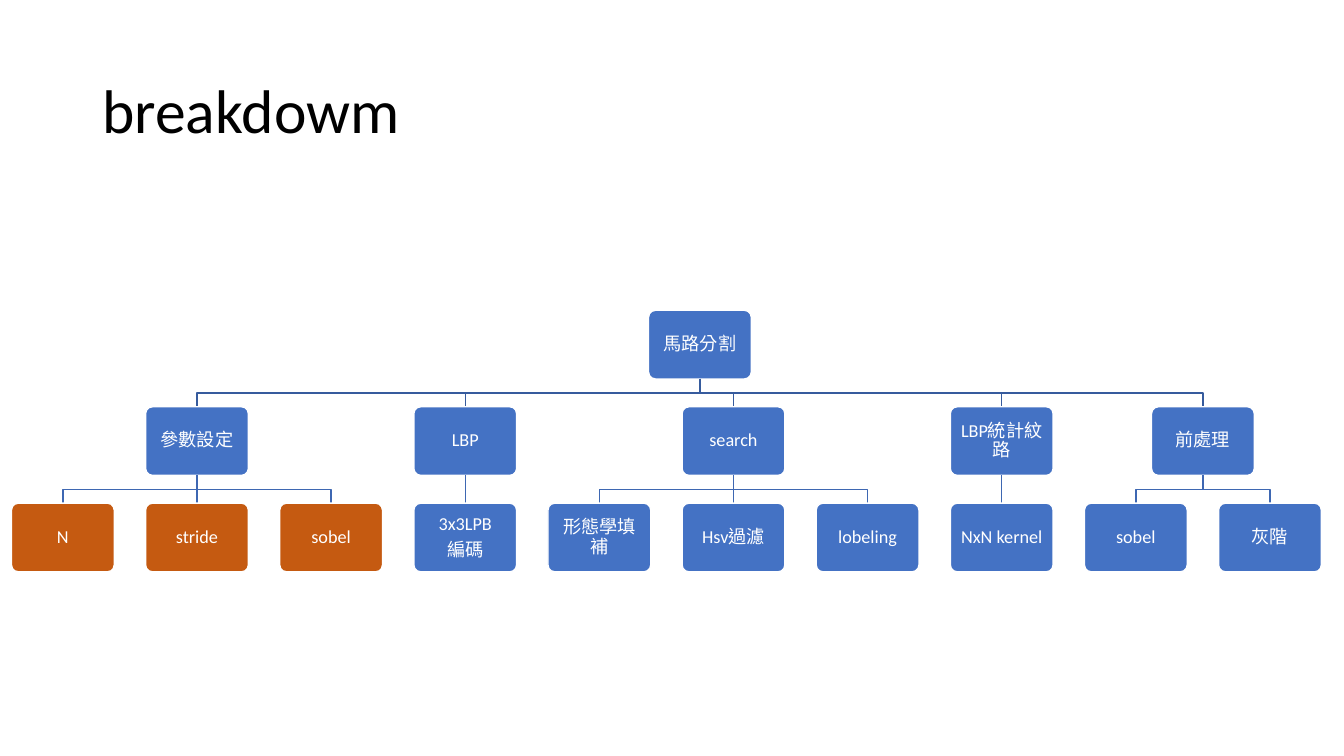
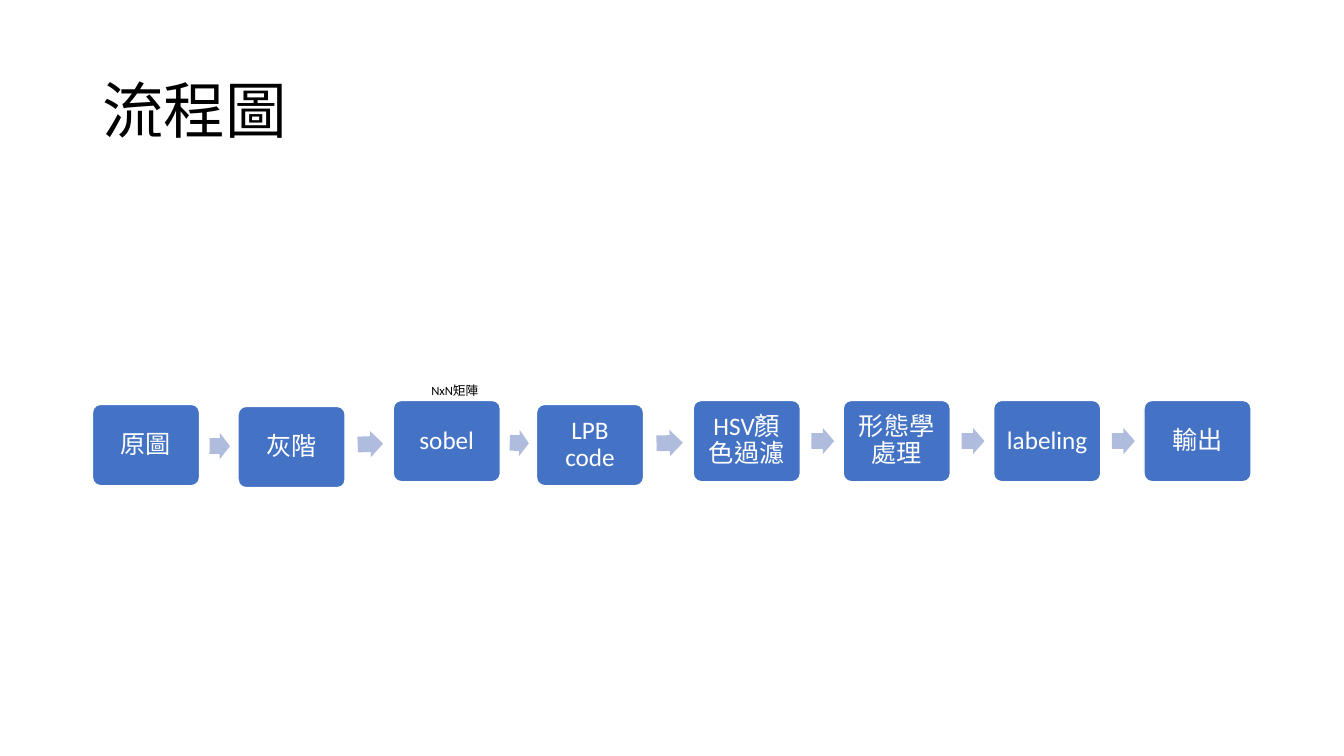
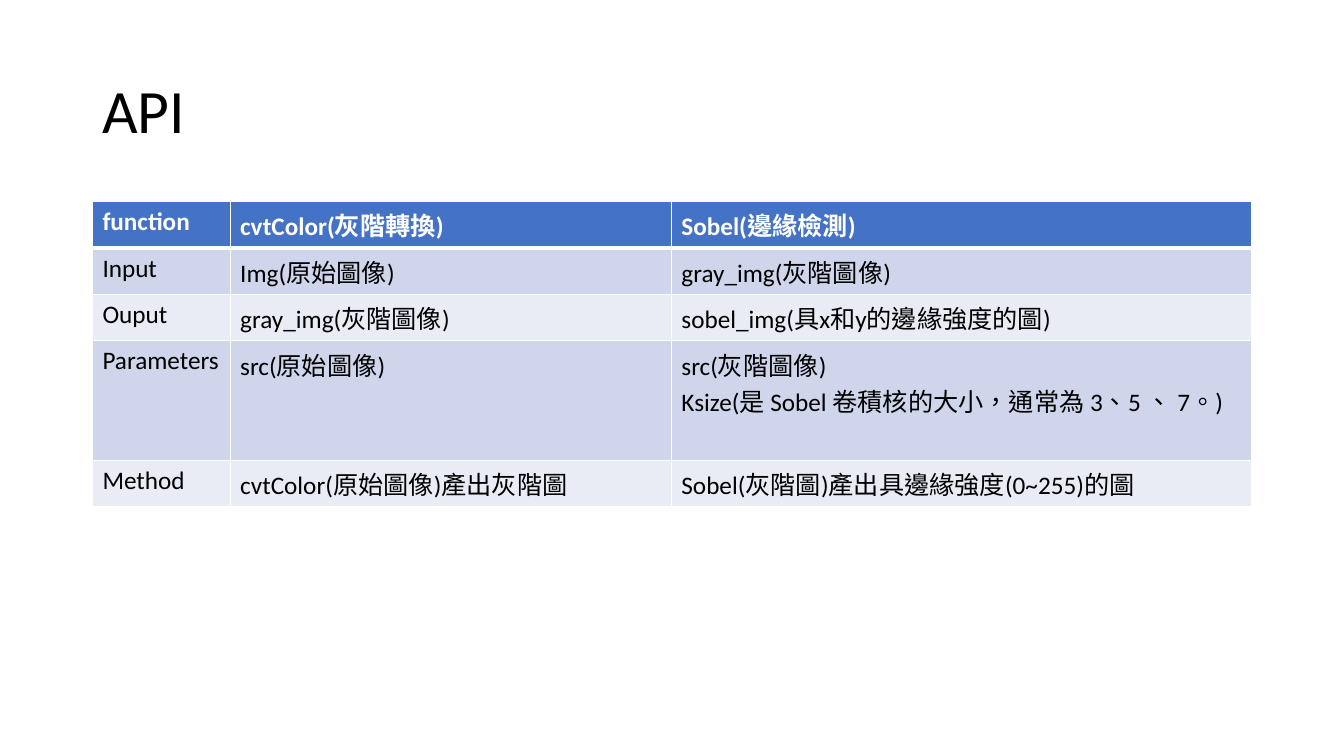
from math import atan2, degrees

from lxml import etree
from pptx import Presentation
from pptx.dml.color import RGBColor
from pptx.enum import lang, shapes, text
from pptx.oxml import ns
from pptx.util import Cm, Pt

FONT = "Calibri"
BLACK, WHITE = "000000", "FFFFFF"
BLUE, ORANGE, ARROW = "4472C4", "C55A11", "B0BCDE"
ROOT_LINE, LEAF_LINE = "365B9D", "3E67B2"
BANDS = "CFD5EA", "E9EBF5"

TREE_ROOT = "馬路分割"
TREE_BRANCHES = [
    ("參數設定", ["N", "stride", "sobel"], ORANGE),
    ("LBP", ["3x3LPB\n編碼"], BLUE),
    ("search", ["形態學填補", "Hsv過濾", "lobeling"], BLUE),
    ("LBP統計紋路", ["NxN kernel"], BLUE),
    ("前處理", ["sobel", "灰階"], BLUE),
]

# Step name, then its left and top within the flow chart
FLOW_STEPS = [
    ("原圖", 0, 0.1), ("灰階", 3.67, 0.15), ("sobel", 7.58, 0),
    ("LPB code", 11.19, 0.1), ("HSV顏色過濾", 15.14, 0),
    ("形態學處理", 18.92, 0), ("labeling", 22.71, 0), ("輸出", 26.5, 0),
]

# Row height, then the cells
API_ROWS = [
    (1.17, "function", "cvtColor(灰階轉換)", "Sobel(邊緣檢測)"),
    (1.17, "Input", "Img(原始圖像)", "gray_img(灰階圖像)"),
    (1.17, "Ouput", "gray_img(灰階圖像)", "sobel_img(具x和y的邊緣強度的圖)"),
    (3.01, "Parameters", "src(原始圖像)",
     "src(灰階圖像)\nKsize(是 Sobel 卷積核的大小，通常為 3、5 、 7。)"),
    (1.17, "Method", "cvtColor(原始圖像)產出灰階圖", "Sobel(灰階圖)產出具邊緣強度(0~255)的圖"),
]


def rgb(color):
    return RGBColor.from_string(color)


def write(frame, words, size, color, bold=False):
    frame.text = words
    for paragraph in frame.paragraphs:
        for run in paragraph.runs:
            run.font.name = FONT
            run.font.size = Pt(size)
            run.font.bold = bold
            run.font.color.rgb = rgb(color)
            run.font.language_id = lang.MSO_LANGUAGE_ID.TRADITIONAL_CHINESE


def add_label(slide, words, left, top, width, height, size):
    label = slide.shapes.add_textbox(Cm(left), Cm(top), Cm(width), Cm(height))
    label.text_frame.word_wrap = True
    write(label.text_frame, words, size, BLACK)
    return label.text_frame


def add_titled_slide(deck, title):
    slide = deck.slides.add_slide(deck.slide_layouts[6])
    frame = add_label(slide, title, 2.33, 1.02, 29.21, 3.68, 44)
    frame.vertical_anchor = text.MSO_ANCHOR.MIDDLE
    frame.paragraphs[0].line_spacing = 0.9
    return slide


def add_node(slide, words, left, top, width, height, size, margin, color=BLUE):
    """Rounded box with a white edge and centred white text."""
    node = slide.shapes.add_shape(shapes.MSO_SHAPE.ROUNDED_RECTANGLE,
                                  Cm(left), Cm(top), Cm(width), Cm(height))
    node.adjustments[0] = 0.1
    node.shadow.inherit = False
    node.fill.solid()
    node.fill.fore_color.rgb = rgb(color)
    node.line.color.rgb = rgb(WHITE)
    node.line.width = Pt(1)
    frame = node.text_frame
    frame.word_wrap = True
    frame.vertical_anchor = text.MSO_ANCHOR.MIDDLE
    frame.margin_left = frame.margin_right = Cm(margin)
    frame.margin_top = frame.margin_bottom = Cm(margin)
    write(frame, words, size, WHITE)
    for paragraph in frame.paragraphs:
        paragraph.alignment = text.PP_ALIGN.CENTER
        paragraph.line_spacing = 0.9
        paragraph.space_after = Pt(size * 0.35)


def add_branch(slide, x1, y1, x2, y2, color):
    """Line from a parent's foot down to a child's head, bent halfway."""
    if abs(x1 - x2) < 0.01:
        branch = slide.shapes.add_connector(shapes.MSO_CONNECTOR.STRAIGHT,
                                            Cm(x1), Cm(y1), Cm(x2), Cm(y2))
        etree.SubElement(branch._element.spPr, ns.qn("a:effectLst"))
    else:
        middle = Cm((y1 + y2) / 2)
        outline = slide.shapes.build_freeform(Cm(x1), Cm(y1))
        outline.add_line_segments(
            [(Cm(x1), middle), (Cm(x2), middle), (Cm(x2), Cm(y2))], close=False)
        branch = outline.convert_to_shape()
        branch.shadow.inherit = False
        branch.fill.background()
    branch.line.color.rgb = rgb(color)
    branch.line.width = Pt(1)


def add_tree(slide, left, top):
    """Three tiers, each parent centred above its children."""
    width, height, pitch, tier = 2.59, 1.73, 3.38, 2.43

    def place(words, center, level, color=BLUE):
        add_node(slide, words, center - width / 2, top + level * tier,
                 width, height, 13, 0.13, color)

    def link(parent, child, level, color):
        add_branch(slide, parent, top + level * tier + height,
                   child, top + (level + 1) * tier, color)

    centers = []
    column = 0
    for _, leaves, _ in TREE_BRANCHES:
        centers.append(left + width / 2 + (column + (len(leaves) - 1) / 2) * pitch)
        column += len(leaves)
    root = (centers[0] + centers[-1]) / 2
    place(TREE_ROOT, root, 0)
    for center, (name, leaves, color) in zip(centers, TREE_BRANCHES):
        link(root, center, 0, ROOT_LINE)
        place(name, center, 1)
        for index, leaf in enumerate(leaves):
            leaf_center = center + (index - (len(leaves) - 1) / 2) * pitch
            link(center, leaf_center, 1, LEAF_LINE)
            place(leaf, leaf_center, 2, color)


def add_flow(slide, left, top):
    """Row of steps, with an arrow in each gap turned towards the next step."""
    width, height, arrow_height = 2.7, 2.05, 0.66
    for name, x, y in FLOW_STEPS:
        add_node(slide, name, left + x, top + y, width, height, 18, 0.18)
    for (_, x1, y1), (_, x2, y2) in zip(FLOW_STEPS, FLOW_STEPS[1:]):
        gap = x2 - x1 - width
        arrow = slide.shapes.add_shape(
            shapes.MSO_SHAPE.RIGHT_ARROW, Cm(left + x1 + width + 0.26 * gap),
            Cm(top + (y1 + y2 + height - arrow_height) / 2),
            Cm(0.53 * gap), Cm(arrow_height))
        arrow.adjustments[0] = 0.6
        arrow.adjustments[1] = 0.5
        arrow.rotation = degrees(atan2(y2 - y1, x2 - x1))
        arrow.shadow.inherit = False
        arrow.fill.solid()
        arrow.fill.fore_color.rgb = rgb(ARROW)
        arrow.line.fill.background()
    _, sobel_x, sobel_y = FLOW_STEPS[2]
    add_label(slide, "NxN矩陣", left + sobel_x + 0.71, top + sobel_y - 0.56,
              5.18, 0.64, 9)


def set_borders(cell, **widths):
    """White cell borders; widths in points by side: L, R, T, B."""
    properties = cell._tc.get_or_add_tcPr()
    for side, width in widths.items():
        line = etree.SubElement(properties, ns.qn("a:ln" + side), w=str(Pt(width)))
        fill = etree.SubElement(line, ns.qn("a:solidFill"))
        etree.SubElement(fill, ns.qn("a:srgbClr"), val=WHITE)


def add_api_table(slide, left, top):
    widths = (3.47, 11.12, 14.62)
    table = slide.shapes.add_table(
        len(API_ROWS), len(widths), Cm(left), Cm(top),
        Cm(sum(widths)), Cm(sum(row[0] for row in API_ROWS))).table
    for column, width in zip(table.columns, widths):
        column.width = Cm(width)
    for r, (height, *row) in enumerate(API_ROWS):
        header = r == 0
        table.rows[r].height = Cm(height)
        for c, words in enumerate(row):
            cell = table.cell(r, c)
            set_borders(cell, L=1, R=1, T=3 if r == 1 else 1, B=3 if header else 1)
            cell.fill.solid()
            cell.fill.fore_color.rgb = rgb(BLUE if header else BANDS[(r - 1) % 2])
            write(cell.text_frame, words, 18, WHITE if header else BLACK, header)


def main():
    deck = Presentation()
    deck.slide_width, deck.slide_height = Cm(33.87), Cm(19.05)
    add_tree(add_titled_slide(deck, "breakdowm"), 0.29, 7.82)
    add_flow(add_titled_slide(deck, "流程圖"), 2.33, 10.09)
    add_api_table(add_titled_slide(deck, "API"), 2.33, 5.08)
    deck.save("out.pptx")


if __name__ == "__main__":
    main()
